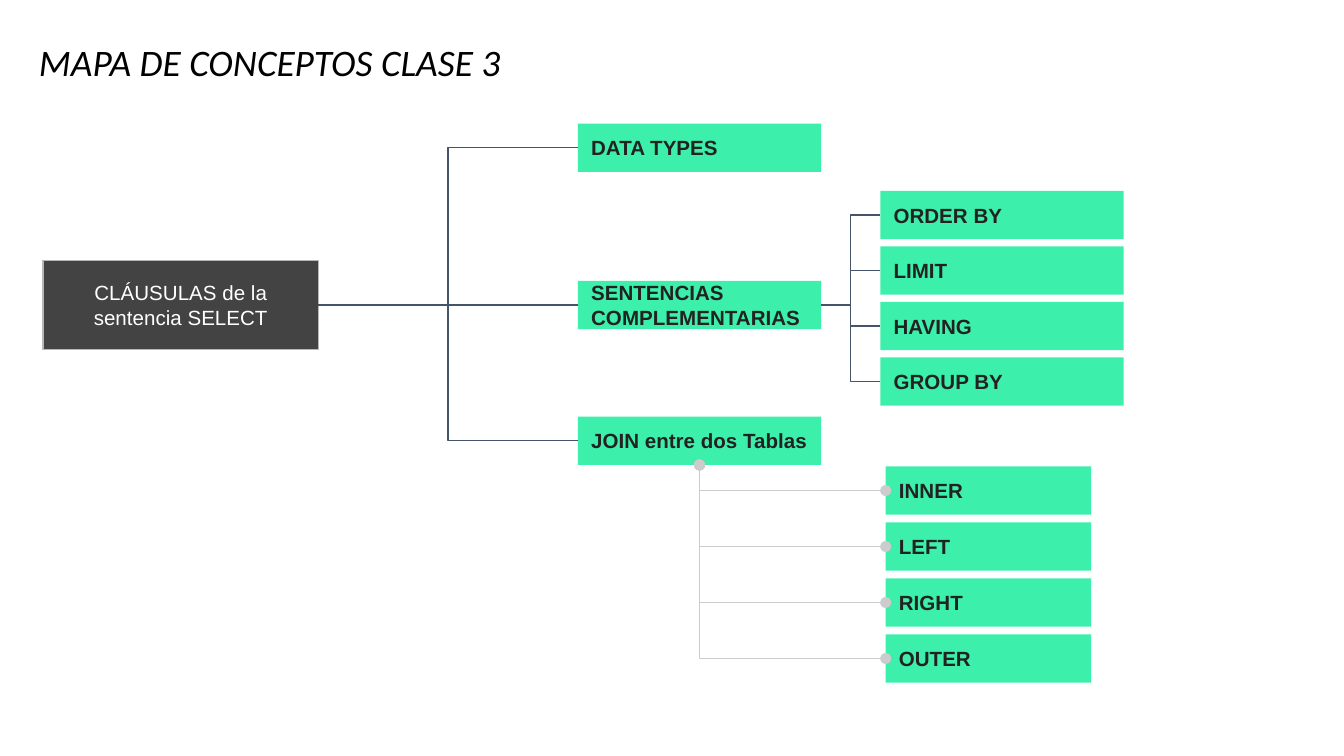
from dataclasses import dataclass

from lxml.etree import SubElement as Sub
from pptx import Presentation
from pptx.dml.color import RGBColor as RGB
from pptx.enum.shapes import MSO_CONNECTOR as Link, MSO_SHAPE as Form
from pptx.enum.text import MSO_ANCHOR as Anchor, MSO_AUTO_SIZE as Fit, PP_ALIGN as Align
from pptx.oxml.ns import qn
from pptx.util import Inches, Pt


@dataclass(frozen=True)
class Theme:
    mint: RGB = RGB(0x3C, 0xEF, 0xAB)
    dark: RGB = RGB(0x43, 0x43, 0x43)
    edge: RGB = RGB(0xB7, 0xB7, 0xB7)
    ink: RGB = RGB(0x22, 0x22, 0x22)
    white: RGB = RGB(0xFF, 0xFF, 0xFF)
    black: RGB = RGB(0, 0, 0)
    slate: RGB = RGB(0x44, 0x54, 0x6A)
    pale: RGB = RGB(0xCC, 0xCC, 0xCC)
    head: str = "Calibri"
    body: str = "Arial"
    big: int = 20
    small: int = 11
    thin: float = 0.75


THEME = Theme()
HIGH = 0.36  # height of a concept box
TOPICS = [("DATA TYPES", 0.92), ("SENTENCIAS COMPLEMENTARIAS", 2.09),
          ("JOIN entre dos Tablas", 3.1)]
CLAUSES = ["ORDER BY", "LIMIT", "HAVING", "GROUP BY"]
JOINS = ["INNER", "LEFT", "RIGHT", "OUTER"]


def add_run(par, text, face, size, color, bold=False, italic=False):
    run = par.add_run()
    run.text = text
    font = run.font
    font.name, font.size = face, Pt(size)
    font.bold, font.italic = bold, italic
    font.color.rgb = color


def set_title(slide, text):
    title = slide.shapes.title
    title.left, title.top = Inches(0.19), Inches(0.22)
    title.width, title.height = Inches(8.26), Inches(0.46)
    frame = title.text_frame
    frame.auto_size, frame.word_wrap = Fit.NONE, True
    frame.vertical_anchor = Anchor.BOTTOM
    par = frame.paragraphs[0]
    par.alignment, par.line_spacing = Align.LEFT, 0.9
    add_run(par, text, THEME.head, THEME.big, THEME.black, italic=True)


def add_box(slide, text, left, top, width, height=HIGH, root=False):
    box = slide.shapes.add_shape(
        Form.RECTANGLE, Inches(left), Inches(top), Inches(width), Inches(height))
    box.shadow.inherit = False
    box.fill.solid()
    box.fill.fore_color.rgb = THEME.dark if root else THEME.mint
    if root:
        box.line.color.rgb = THEME.edge
        box.line.width = Pt(THEME.thin)
    else:
        box.line.fill.background()
    frame = box.text_frame
    frame.word_wrap = True
    frame.vertical_anchor = Anchor.MIDDLE
    frame.margin_left = frame.margin_right = Inches(0.1)
    frame.margin_top = frame.margin_bottom = Inches(0.1)
    par = frame.paragraphs[0]
    par.alignment = Align.CENTER if root else Align.LEFT
    add_run(par, text, THEME.body, THEME.small,
            THEME.white if root else THEME.ink, bold=not root)
    return box


def add_stack(slide, names, left, first, last, width):
    """Spread the boxes evenly between the first and last top."""
    step = (last - first) / (len(names) - 1)
    return [add_box(slide, name, left, first + row * step, width)
            for row, name in enumerate(names)]


def add_link(slide, start, end, side, color):
    """Join a side of start to the left side of end."""
    level = start.top + start.height // 2 - end.top - end.height // 2
    flat = side == 3 and abs(level) < Inches(0.01)
    link = slide.shapes.add_connector(
        Link.STRAIGHT if flat else Link.ELBOW, 0, 0, 0, 0)
    link.begin_connect(start, side)
    link.end_connect(end, 1)
    link.line.color.rgb = color
    link.line.width = Pt(THEME.thin)
    Sub(link._element.spPr, qn("a:effectLst"))
    return link


def add_drop(slide, start, end):
    """Go down from start, turn once, and reach the left side of end."""
    link = add_link(slide, start, end, 2, THEME.pale)
    wide, tall = link.width, link.height
    mid_x, mid_y = link.left + wide // 2, link.top + tall // 2
    # The one-turn elbow is a quarter turn of its mirrored preset
    link.left, link.top = mid_x - tall // 2, mid_y - wide // 2
    link.width, link.height = tall, wide
    props = link._element.spPr
    frame = props.find(qn("a:xfrm"))
    frame.set("rot", "16200000")
    frame.set("flipH", "1")
    props.find(qn("a:prstGeom")).set("prst", "bentConnector2")
    line = props.find(qn("a:ln"))
    for tag in ("a:headEnd", "a:tailEnd"):
        Sub(line, qn(tag), type="oval")


def main():
    deck = Presentation()
    # Widescreen, 16 to 9
    deck.slide_width = Inches(10)
    deck.slide_height = deck.slide_width * 9 // 16
    slide = deck.slides.add_slide(deck.slide_layouts[5])
    set_title(slide, "MAPA DE CONCEPTOS CLASE 3")

    # Boxes, from the root to the leaves
    root = add_box(slide, "CLÁUSULAS de la sentencia SELECT",
                   0.32, 1.94, 2.05, 0.66, root=True)
    topics = [add_box(slide, name, 4.3, top, 1.81) for name, top in TOPICS]
    clauses = add_stack(slide, CLAUSES, 6.55, 1.42, 2.66, 1.81)
    joins = add_stack(slide, JOINS, 6.59, 3.47, 4.72, 1.53)

    # Links between levels
    _, extra, join = topics
    for topic in topics:
        add_link(slide, root, topic, 3, THEME.slate)
    for clause in clauses:
        add_link(slide, extra, clause, 3, THEME.slate)
    for kind in joins:
        add_drop(slide, join, kind)

    deck.save("out.pptx")


if __name__ == "__main__":
    main()
